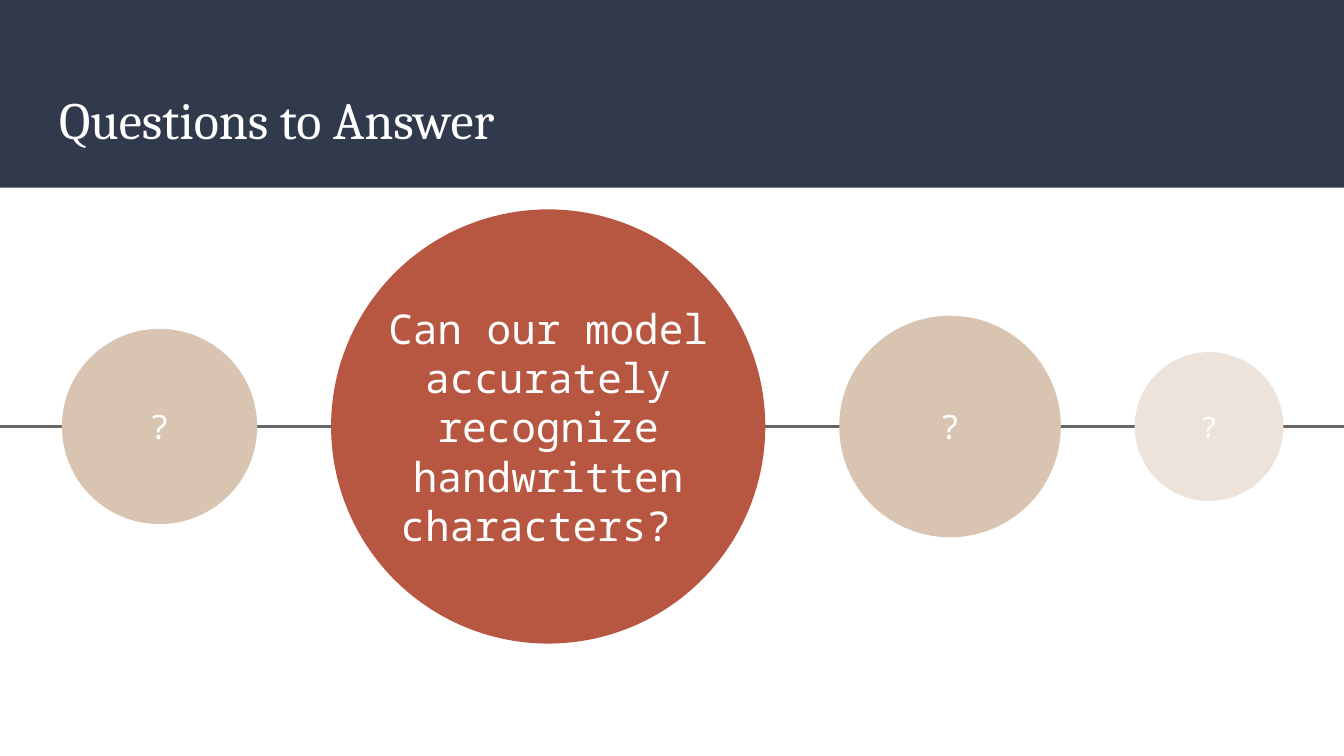
from lxml.etree import SubElement
from pptx import Presentation
from pptx.dml.color import RGBColor
from pptx.enum.shapes import MSO_CONNECTOR, MSO_SHAPE
from pptx.enum.text import MSO_ANCHOR, MSO_AUTO_SIZE, PP_ALIGN
from pptx.oxml.ns import qn
from pptx.util import Pt

WIDTH, HEIGHT = 720, 405
COLORS = {
    "band": "31394D",
    "line": "666666",
    "focus": "B85741",
    "sand": "D9C4B1",
    "pale": "EDE3DA",
    "text": "FFFFFF",
}
MID = 228.5  # height of the line and of all circle centres
START, GAP = 33.2, 39.6
BOX = 47.5  # height of each label

# Diameter, colour, label, text size
ROUNDS = [
    (104.6, "sand", "?", 18),
    (232.6, "focus", "Can our model accurately recognize handwritten characters? ", 22),
    (118.7, "sand", "?", 18),
    (79.7, "pale", "?", 15),
]


def color(name):
    return RGBColor.from_string(COLORS[name])


def assign(item, values):
    for key, value in values.items():
        setattr(item, key, value)


def add_form(slide, kind, fill, *spot):
    form = slide.shapes.add_shape(kind, *map(Pt, spot))
    form.shadow.inherit = False
    form.fill.solid()
    form.fill.fore_color.rgb = color(fill)
    form.line.fill.background()
    return form


def set_text(shape, text, face, size, align, anchor):
    frame = shape.text_frame
    frame.text = text
    inset = Pt(7.2)
    assign(frame, {
        "word_wrap": True, "auto_size": MSO_AUTO_SIZE.NONE,
        "vertical_anchor": anchor,
        "margin_left": inset, "margin_right": inset,
        "margin_top": inset, "margin_bottom": inset,
    })
    para = frame.paragraphs[0]
    para.alignment = align
    font = para.runs[0].font
    assign(font, {"name": face, "size": Pt(size)})
    font.color.rgb = color("text")


def add_title(slide, text):
    title = slide.shapes.title
    assign(title, {"left": Pt(24.5), "top": Pt(39.6),
                   "width": Pt(671), "height": Pt(49)})
    set_text(title, text, "Cambria", 28, PP_ALIGN.LEFT, MSO_ANCHOR.TOP)
    # The band goes behind the title
    band = add_form(slide, MSO_SHAPE.RECTANGLE, "band", 0, 0, WIDTH, 100.6)
    title._element.addprevious(band._element)


def add_line(slide):
    ends = map(Pt, (-0.7, MID, WIDTH, MID))
    line = slide.shapes.add_connector(MSO_CONNECTOR.STRAIGHT, *ends)
    line.line.color.rgb = color("line")
    line.line.width = Pt(1.5)
    SubElement(line._element.spPr, qn("a:effectLst"))


def add_round(slide, left, size, fill, text, points):
    add_form(slide, MSO_SHAPE.OVAL, fill, left, MID - size / 2, size, size)
    spot = map(Pt, (left, MID - BOX / 2, size, BOX))
    label = slide.shapes.add_textbox(*spot)
    set_text(label, text, "Noto Sans Mono", points,
             PP_ALIGN.CENTER, MSO_ANCHOR.MIDDLE)


def main():
    deck = Presentation()
    assign(deck, {"slide_width": Pt(WIDTH), "slide_height": Pt(HEIGHT)})
    slide = deck.slides.add_slide(deck.slide_layouts[5])

    # Header
    add_title(slide, "Questions to Answer")

    # Circles along the line, with equal gaps
    add_line(slide)
    left = START
    for size, fill, text, points in ROUNDS:
        add_round(slide, left, size, fill, text, points)
        left += size + GAP

    deck.save("out.pptx")


if __name__ == "__main__":
    main()
